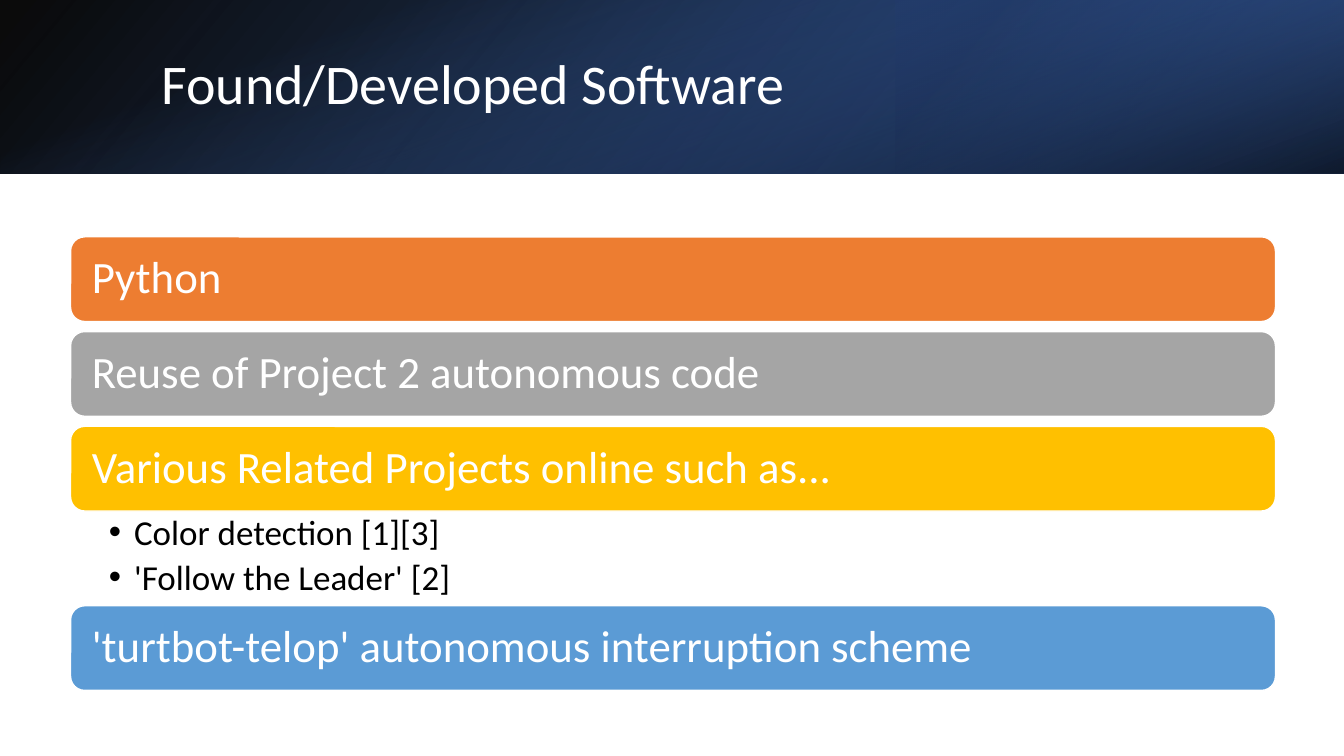
from lxml import etree
from pptx import Presentation
from pptx.dml.color import RGBColor
from pptx.enum.shapes import MSO_SHAPE
from pptx.enum.text import MSO_ANCHOR, MSO_AUTO_SIZE, PP_ALIGN
from pptx.oxml.ns import qn
from pptx.util import Inches, Pt

RECT, ROUNDED = MSO_SHAPE.RECTANGLE, MSO_SHAPE.ROUNDED_RECTANGLE
TOP, MIDDLE = MSO_ANCHOR.TOP, MSO_ANCHOR.MIDDLE
LEFT, NO_FIT = PP_ALIGN.LEFT, MSO_AUTO_SIZE.NONE

# Content: each bar with its colour and the bullets below it
TITLE = "Found/Developed Software"
TOPICS = [
    ("Python", "orange", []),
    ("Reuse of Project 2 autonomous code", "gray", []),
    ("Various Related Projects online such as...", "gold",
     ["Color detection [1][3]", "'Follow the Leader' [2]"]),
    ("'turtbot-telop' autonomous interruption scheme", "blue", []),
]

THEME = {
    "font": "Calibri", "title": 40, "bar": 32, "bullet": 25,
    "white": "FFFFFF", "black": "000000", "orange": "ED7D31",
    "gray": "A5A5A5", "gold": "FFC000", "blue": "5B9BD5",
    "navy": "203864", "royal": "4472C4", "deep": "2F5597",
}

# Banner layers: box, rotation, flipped, angle, stops (position, colour, opacity)
WIDTH, BANNER_H = 13.33, 1.72
BANNER = [
    ((0, 0, WIDTH, BANNER_H), 0, True, 140,
     [(0, "black", 96), (100, "deep", 100)]),
    ((WIDTH * 2 / 3, 0, WIDTH / 3, BANNER_H), 180, True, 320,
     [(19, "navy", 68), (100, "royal", 79)]),
    (((WIDTH - BANNER_H) / 2, (BANNER_H - WIDTH) / 2, BANNER_H, WIDTH), 90, False, 340,
     [(23, "royal", 0), (99, "black", 74)]),
]
BAR_X, BAR_Y, BAR_W, BAR_H, BAR_GAP = 0.7, 2.35, 11.95, 0.84, 0.1
LIST_H = 0.94


def color(name):
    return RGBColor.from_string(THEME[name])


def place(s, left, top, width, height):
    s.left, s.top, s.width, s.height = map(Inches, (left, top, width, height))


def write(s, lines, size, ink, insets, anchor, after=0):
    tf = s.text_frame
    sides = ("margin_left", "margin_top", "margin_right", "margin_bottom")
    frame = dict(zip(sides, map(Inches, insets)))
    frame.update(word_wrap=True, auto_size=NO_FIT, vertical_anchor=anchor)
    for name, value in frame.items():
        setattr(tf, name, value)
    para = {"alignment": LEFT, "line_spacing": 0.9,
            "space_before": Pt(0), "space_after": Pt(after)}
    for i, line in enumerate(lines):
        p = tf.add_paragraph() if i else tf.paragraphs[0]
        for name, value in para.items():
            setattr(p, name, value)
        r = p.add_run()
        r.text = line
        r.font.name, r.font.size = THEME["font"], Pt(THEME[size])
        r.font.color.rgb = color(ink)


def add_banner_layer(shapes, box, rotation, flipped, angle, stops):
    s = shapes.add_shape(RECT, *map(Inches, box))
    s.shadow.inherit = False
    s.line.fill.background()
    s.rotation = rotation
    if flipped:
        s._element.spPr.find(qn("a:xfrm")).set("flipH", "1")
    s.fill.gradient()
    grad = s._element.spPr.find(qn("a:gradFill"))
    grad.find(qn("a:lin")).set("ang", str(angle * 60000))
    gs_list = grad.find(qn("a:gsLst"))
    for old in list(gs_list):
        gs_list.remove(old)
    for position, name, opacity in stops:
        gs = etree.SubElement(gs_list, qn("a:gs"), pos=str(position * 1000))
        clr = etree.SubElement(gs, qn("a:srgbClr"), val=THEME[name])
        etree.SubElement(clr, qn("a:alpha"), val=str(opacity * 1000))
    return s


def add_bar(shapes, top, text, fill):
    s = shapes.add_shape(ROUNDED, *map(Inches, (BAR_X, top, BAR_W, BAR_H)))
    s.shadow.inherit = False
    s.fill.solid()
    s.fill.fore_color.rgb = color(fill)
    s.line.color.rgb = color("white")
    s.line.width = Pt(1)
    write(s, [text], "bar", "white", (0.17, 0.13, 0.17, 0.13), MIDDLE)


def main():
    prs = Presentation()
    prs.slide_width, prs.slide_height = Inches(WIDTH), Inches(7.5)
    slide = prs.slides.add_slide(prs.slide_layouts[1])
    shapes = slide.shapes
    title, body = shapes.title, slide.placeholders[1]

    # Banner, kept behind the title
    for layer in BANNER:
        s = add_banner_layer(shapes, *layer)
        title._element.addprevious(s._element)

    # Title
    place(title, 1.5, 0.38, 10.98, 0.96)
    write(title, [TITLE], "title", "white", (0.1, 0.05, 0.1, 0.05), MIDDLE)

    # Bars, with the bullet list filling the space under its bar
    top = BAR_Y
    for text, fill, bullets in TOPICS:
        add_bar(shapes, top, text, fill)
        top += BAR_H
        if bullets:
            place(body, BAR_X, top, BAR_W, LIST_H)
            write(body, bullets, "bullet", "black", (0.38, 0.04, 0.25, 0.04), TOP, 5)
            for p in body.text_frame.paragraphs:
                pPr = p._p.get_or_add_pPr()
                pPr.set("marL", str(Inches(0.25)))
                pPr.set("indent", str(Inches(-0.25)))
        top += LIST_H if bullets else BAR_GAP

    prs.save("out.pptx")


if __name__ == "__main__":
    main()
